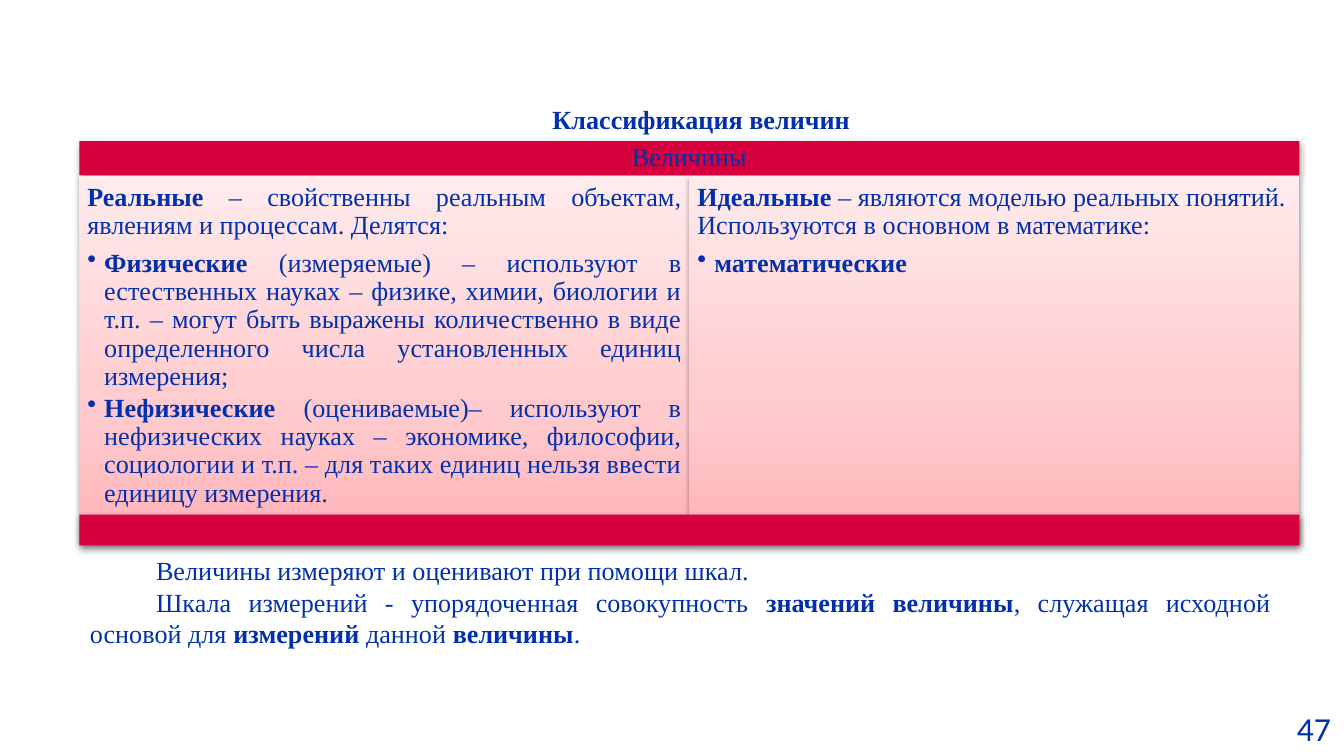
from copy import deepcopy

from lxml.etree import SubElement
from pptx import Presentation
from pptx.dml.color import RGBColor
from pptx.enum.shapes import MSO_SHAPE
from pptx.enum.text import MSO_ANCHOR, PP_ALIGN
from pptx.oxml.ns import qn
from pptx.util import Cm, Pt

BLUE, RED, WHITE = "0230AC", "D6003E", "FFFFFF"
PANEL_STOPS = [(0, "FFB3B9"), (0.35, "FFCACD"), (1, "FFEBEC")]

# A paragraph is a list of (text, bold) runs.
TITLE = [("Классификация величин", True)]
HEADER = [("Величины", False)]
KINDS = [
    {
        "align": PP_ALIGN.JUSTIFY,
        "intro": [("Реальные", True),
                  (" – свойственны реальным объектам, явлениям и процессам. Делятся:", False)],
        "bullets": [
            [("Физические ", True),
             ("(измеряемые) – используют в естественных науках – физике, химии, биологии "
              "и т.п. – могут быть выражены количественно в виде определенного числа "
              "установленных единиц измерения;", False)],
            [("Нефизические ", True),
             ("(оцениваемые)– используют в нефизических науках – экономике, философии, "
              "социологии и т.п. – для таких единиц нельзя ввести единицу измерения.", False)],
        ],
    },
    {
        "align": PP_ALIGN.LEFT,
        "intro": [("Идеальные", True),
                  (" – являются моделью реальных понятий. Используются в основном в математике:",
                   False)],
        "bullets": [[("математические", True)]],
    },
]
SCALES = [
    [("Величины измеряют и оценивают при помощи шкал.", False)],
    [("Шкала измерений - упорядоченная совокупность ", False), ("значений величины", True),
     (", служащая исходной основой для ", False), ("измерений", True),
     (" данной ", False), ("величины", True), (".", False)],
]
PAGE_NUMBER = [("47", False)]

LEFT, WIDTH = 1.5, 23.06
HEADER_TOP, HEADER_HEIGHT = 2.67, 0.64
PANEL_TOP, PANEL_HEIGHT = 3.33, 6.91
FOOTER_TOP, FOOTER_HEIGHT = 9.73, 0.58
BULLET_INDENT = 0.32


def color(value):
    return RGBColor.from_string(value)


def add_rect(left, top, width, height, fill=None):
    rect = slide.shapes.add_shape(MSO_SHAPE.RECTANGLE, Cm(left), Cm(top), Cm(width), Cm(height))
    rect.shadow.inherit = False
    rect.line.fill.background()
    if fill:
        rect.fill.solid()
        rect.fill.fore_color.rgb = color(fill)
    return rect


def add_box(left, top, width, height, wrap=True):
    box = slide.shapes.add_textbox(Cm(left), Cm(top), Cm(width), Cm(height))
    box.text_frame.word_wrap = wrap
    return box


def add_shadow(shape):
    effects = shape._element.spPr.find(qn("a:effectLst"))
    shadow = SubElement(effects, qn("a:outerShdw"), blurRad=str(Pt(3.1)), dist=str(Pt(1.6)),
                        dir="5400000", rotWithShape="0")
    black = SubElement(shadow, qn("a:srgbClr"), val="000000")
    SubElement(black, qn("a:alpha"), val="38000")


def fill_gradient(shape):
    """Run the panel colours from the bottom edge up."""
    shape.fill.gradient()
    shape.fill.gradient_angle = 90
    stop_list = shape._element.spPr.find(qn("a:gradFill")).find(qn("a:gsLst"))
    stop_list.append(deepcopy(stop_list[0]))
    for stop, (position, value) in zip(shape.fill.gradient_stops, PANEL_STOPS):
        stop.position = position
        stop.color.rgb = color(value)


def set_margins(frame, margin):
    frame.margin_left = frame.margin_right = Cm(margin)
    frame.margin_top = frame.margin_bottom = Cm(margin)


def write(frame, runs, align=PP_ALIGN.LEFT, size=14, font="Times New Roman",
          margin=0, indent=0, bullet=False, line=1.0, before=0, after=0):
    """Add one paragraph, using the empty first one when there is no text yet."""
    paragraph = frame.add_paragraph() if frame.text else frame.paragraphs[0]
    paragraph.alignment = align
    paragraph.line_spacing = line
    paragraph.space_before, paragraph.space_after = Pt(before), Pt(after)
    properties = paragraph._p.get_or_add_pPr()
    properties.set("marL", str(Cm(margin)))
    properties.set("indent", str(Cm(indent)))
    if bullet:
        SubElement(properties, qn("a:buChar"), char="•")
    for text, bold in runs:
        run = paragraph.add_run()
        run.text = text
        run.font.name, run.font.size, run.font.bold = font, Pt(size), bold
        run.font.color.rgb = color(BLUE)


prs = Presentation()
prs.slide_width, prs.slide_height = Cm(25.4), Cm(14.29)
slide = prs.slides.add_slide(prs.slide_layouts[6])

number = add_box(24.26, 13.26, 1.5, 1.02, wrap=False)
write(number.text_frame, PAGE_NUMBER, size=18, font="Calibri")

title = add_rect(0.97, 1.83, 23.6, 0.86, WHITE)
title.text_frame.vertical_anchor = MSO_ANCHOR.TOP
write(title.text_frame, TITLE, PP_ALIGN.CENTER, indent=0.97, before=6)

header = add_rect(LEFT, HEADER_TOP, WIDTH, HEADER_HEIGHT, RED)
add_shadow(header)
set_margins(header.text_frame, 0.15)
header.text_frame.vertical_anchor = MSO_ANCHOR.MIDDLE
write(header.text_frame, HEADER, PP_ALIGN.CENTER, line=0.9)

panel_width = WIDTH / len(KINDS)
for column, kind in enumerate(KINDS):
    panel = add_rect(LEFT + column * panel_width, PANEL_TOP, panel_width, PANEL_HEIGHT)
    fill_gradient(panel)
    add_shadow(panel)
    frame = panel.text_frame
    set_margins(frame, 0.15)
    frame.vertical_anchor = MSO_ANCHOR.TOP
    write(frame, kind["intro"], kind["align"], line=0.9, after=5)
    for item in kind["bullets"]:
        write(frame, item, kind["align"], margin=BULLET_INDENT, indent=-BULLET_INDENT,
              bullet=True, line=0.9, after=2)

footer = add_rect(LEFT, FOOTER_TOP, WIDTH, FOOTER_HEIGHT, RED)
add_shadow(footer)

scales = add_box(1.45, 10.36, 22.81, 2.06)
for runs in SCALES:
    write(scales.text_frame, runs, PP_ALIGN.JUSTIFY, indent=1.25)

prs.save("out.pptx")
